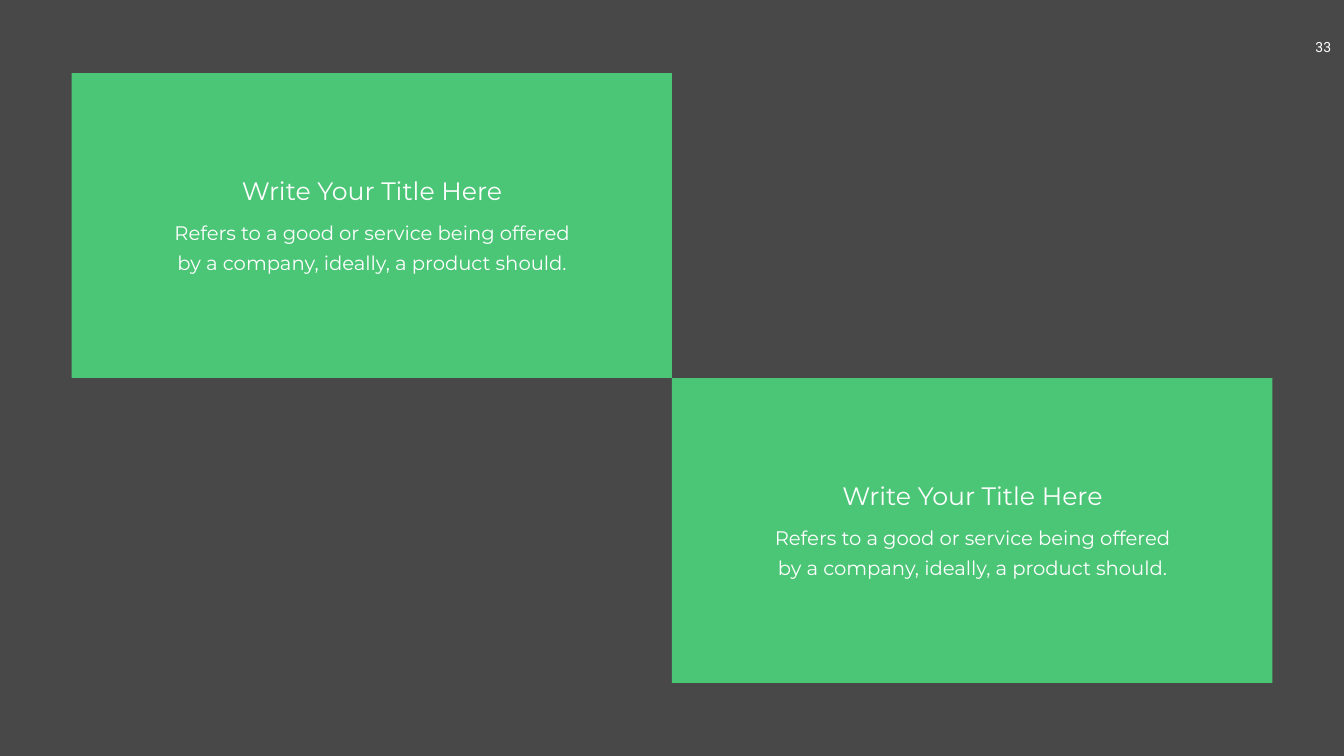
from dataclasses import dataclass

from pptx import Presentation
from pptx.dml.color import RGBColor
from pptx.enum.shapes import MSO_SHAPE
from pptx.enum.text import PP_ALIGN
from pptx.slide import Slide
from pptx.util import Inches, Pt

WIDTH, HEIGHT = 26.66, 15
CARD_W, CARD_H = 11.91, 6.05
GREEN, GREY, WHITE = "4BC676", "484848", "FFFFFF"


@dataclass
class Card:
    left: float
    top: float
    title: str
    body: str


def paint(fill, color: str) -> None:
    fill.solid()
    fill.fore_color.rgb = RGBColor.from_string(color)


def write(slide: Slide, text: str, left: float, top: float, width: float,
          height: float, *, size: float, font: str = "Montserrat",
          color: str = WHITE, pad: tuple = (0.1, 0.05, 0.1, 0.05),
          line: float | None = None, wrap: bool = True) -> None:
    box = slide.shapes.add_textbox(
        Inches(left), Inches(top), Inches(width), Inches(height))
    frame = box.text_frame
    frame.word_wrap = wrap
    frame.margin_left, frame.margin_top, frame.margin_right, frame.margin_bottom = (
        Inches(side) for side in pad)
    para = frame.paragraphs[0]
    para.text = text
    para.alignment = PP_ALIGN.CENTER
    if line:
        para.line_spacing = Pt(line)
    para.font.size = Pt(size)
    para.font.name = font
    para.font.color.rgb = RGBColor.from_string(color)


def draw_card(slide: Slide, card: Card) -> None:
    panel = slide.shapes.add_shape(
        MSO_SHAPE.RECTANGLE, Inches(card.left), Inches(card.top),
        Inches(CARD_W), Inches(CARD_H))
    panel.shadow.inherit = False
    paint(panel.fill, GREEN)
    panel.line.fill.background()
    write(slide, card.body, card.left + 1.7, card.top + 2.68, 8.52, 1.39,
          size=28, line=43, pad=(0.24, 0.12, 0.24, 0.12))
    write(slide, card.title, card.left + 2.91, card.top + 1.98, 6.1, 0.71,
          size=36)


def main() -> None:
    deck = Presentation()
    deck.slide_width, deck.slide_height = Inches(WIDTH), Inches(HEIGHT)
    slide = deck.slides.add_slide(deck.slide_layouts[6])
    paint(slide.background.fill, GREY)
    write(slide, "33", 25.88, 0.67, 0.91, 0.54, size=20, font="Roboto",
          pad=(0.2, 0.1, 0.37, 0.1), wrap=False)

    title = "Write Your Title Here"
    body = ("Refers to a good or service being offered by a company, "
            "ideally, a product should.")
    mid_x, mid_y = WIDTH / 2, HEIGHT / 2
    for left, top in ((mid_x - CARD_W, mid_y - CARD_H), (mid_x, mid_y)):
        draw_card(slide, Card(left, top, title, body))
    deck.save("out.pptx")


if __name__ == "__main__":
    main()
